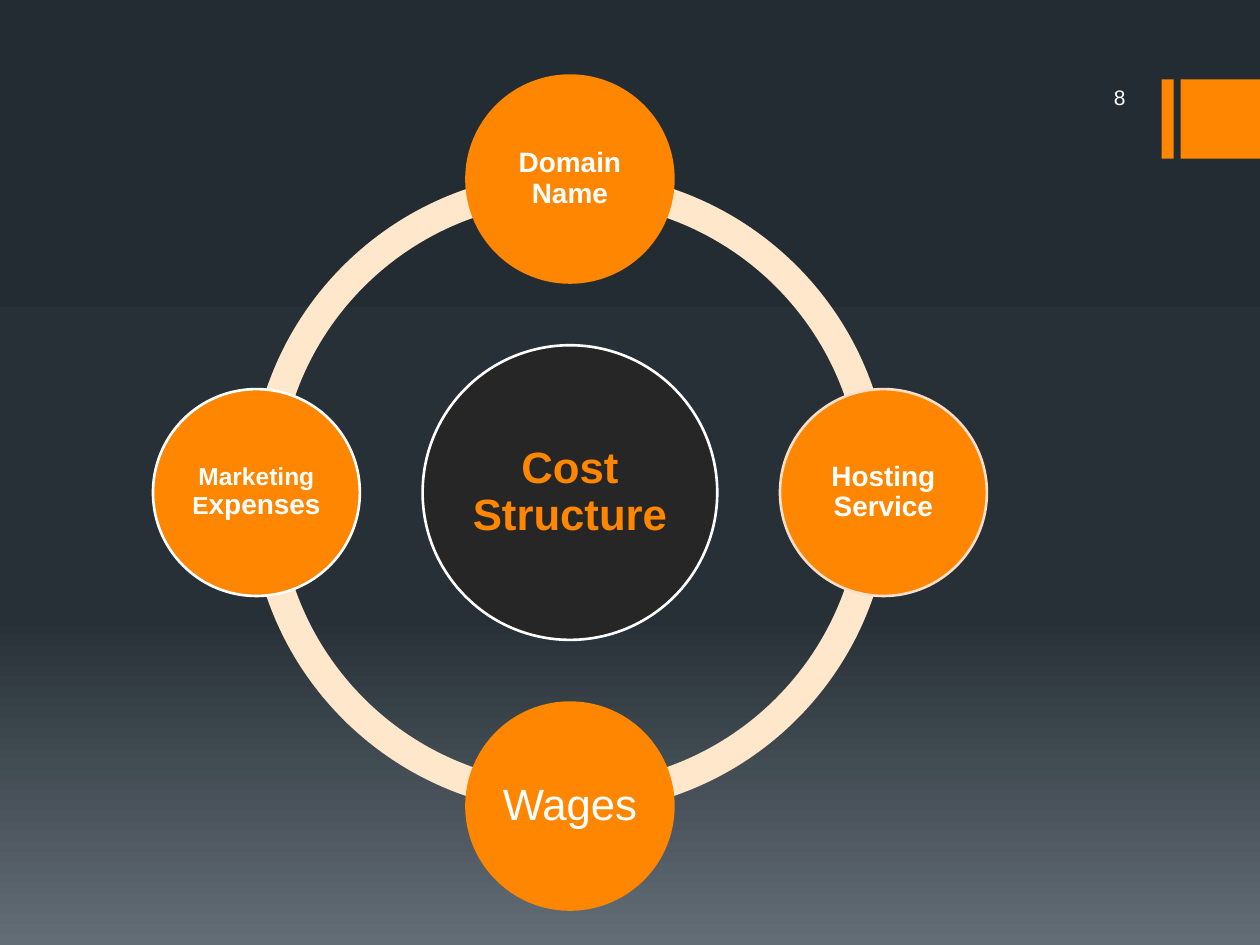
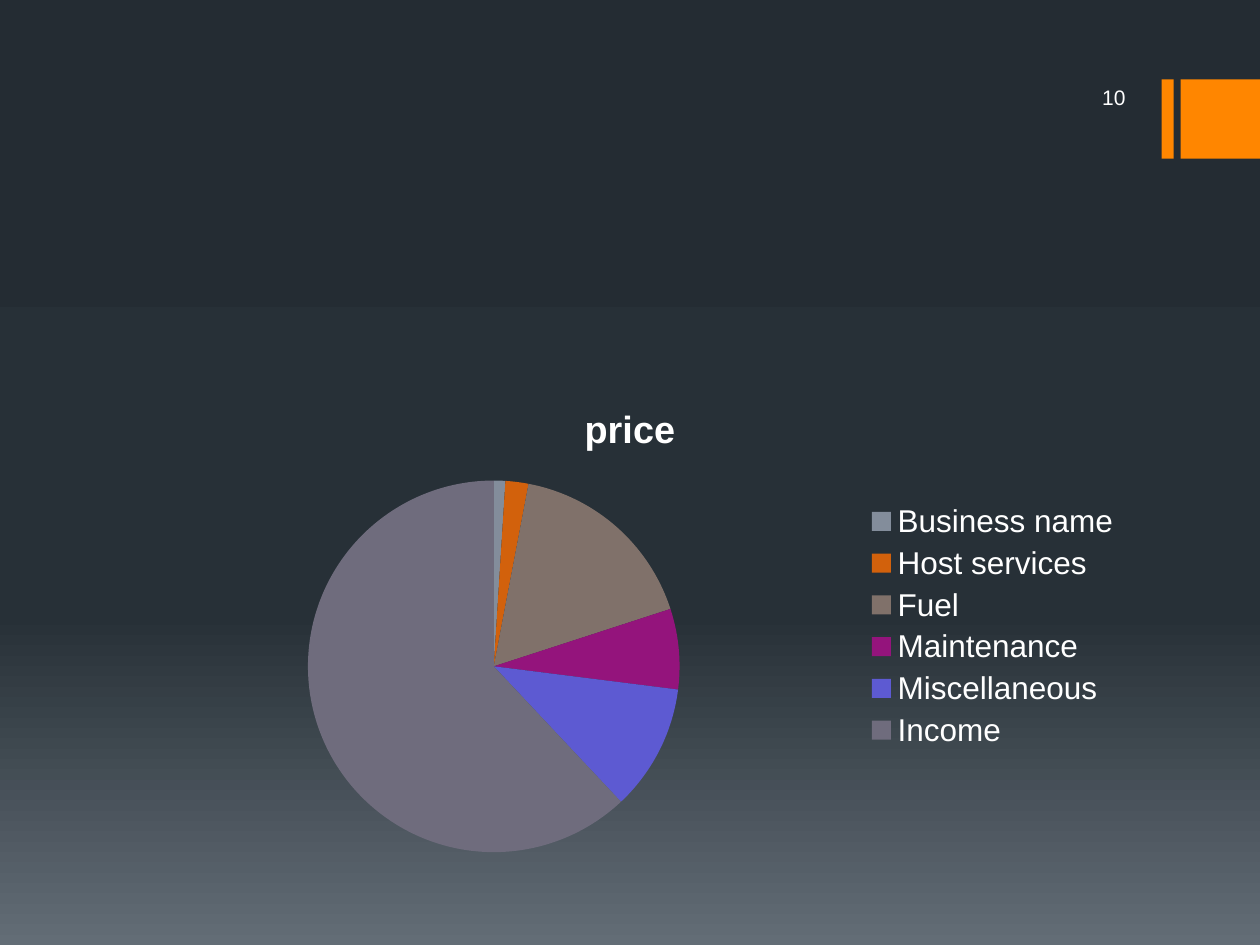
from copy import deepcopy
from math import cos, radians, sin

from pptx import Presentation
from pptx import util as u
from pptx.chart.data import CategoryChartData
from pptx.dml.color import RGBColor
from pptx.enum import chart as charts, shapes, text
from pptx.oxml.ns import qn

FONT = "Arial"
COLORS = {
    "orange": "FF8600", "white": "FFFFFF", "hub": "262626",
    "ring": "FFE7CC", "pale": "FCDFC9",
}
BACKGROUND = [(0, "242C33"), (0.65, "273037"), (1, "636D76")]

# Cost wheel, in centimetres
CENTER_X, CENTER_Y = 11.49, 9.93
ORBIT, RING_SIZE, HUB_SIZE, NODE_SIZE = 6.32, 12.93, 5.94, 4.17
# Angle (clockwise from the right), outline colour, runs of (text, size, bold)
NODES = [
    (270, "orange", [("Domain Name", 16, True)]),
    (0, "pale", [("Hosting Service", 16, True)]),
    (90, "orange", [("Wages", 25, False)]),
    (180, "white", [("Marketing E", 14, True), ("xpenses", 16, True)]),
]

# Category, price, slice colour
PRICES = [
    ("Business name", 1, "838D9B"),
    ("Host services", 2, "D2610C"),
    ("Fuel", 17, "80716A"),
    ("Maintenance", 7, "94147C"),
    ("Miscellaneous", 11, "5D5AD2"),
    ("Income", 62, "6F6C7D"),
]


def rgb(name):
    return RGBColor.from_string(COLORS.get(name, name))


def style_font(font, size, color, bold=False):
    font.name, font.size, font.bold = FONT, u.Pt(size), bold
    font.color.rgb = rgb(color)


def add_runs(paragraph, runs, color):
    for words, size, bold in runs:
        run = paragraph.add_run()
        run.text = words
        style_font(run.font, size, color, bold)


def add_shape(parent, kind, left, top, width, height, fill, line=None):
    shape = parent.shapes.add_shape(
        kind, u.Cm(left), u.Cm(top), u.Cm(width), u.Cm(height))
    shape.shadow.inherit = False
    shape.fill.solid()
    shape.fill.fore_color.rgb = rgb(fill)
    if line:
        shape.line.color.rgb = rgb(line)
        shape.line.width = u.Pt(1.5)
    else:
        shape.line.fill.background()
    return shape


def add_circle(parent, x, y, size, fill, line, runs, color):
    """Circle centred on (x, y), with its label inside."""
    circle = add_shape(parent, shapes.MSO_SHAPE.OVAL, x - size / 2,
                       y - size / 2, size, size, fill, line)
    frame = circle.text_frame
    frame.word_wrap = True
    frame.vertical_anchor = text.MSO_ANCHOR.MIDDLE
    frame.margin_left = frame.margin_right = u.Cm(0.06)
    frame.margin_top = frame.margin_bottom = u.Cm(0.06)
    paragraph = frame.paragraphs[0]
    paragraph.alignment = text.PP_ALIGN.CENTER
    paragraph.line_spacing = 0.9
    add_runs(paragraph, runs, color)


def set_background(slide):
    fill = slide.background.fill
    fill.gradient()
    fill.gradient_angle = 270
    # The default gradient has two stops: add a third
    stop_list = slide.element.find(".//" + qn("a:gsLst"))
    stop_list.append(deepcopy(stop_list[-1]))
    for stop, (position, color) in zip(fill.gradient_stops, BACKGROUND):
        stop.position = position
        stop.color.rgb = rgb(color)


def add_slide(presentation, number):
    """Blank slide with the shared background, bands and page number."""
    slide = presentation.slides.add_slide(presentation.slide_layouts[6])
    set_background(slide)
    for left, width in [(23.42, 0.24), (23.8, 1.6)]:
        add_shape(slide, shapes.MSO_SHAPE.RECTANGLE,
                  left, 1.6, width, 1.6, "orange")
    box = slide.shapes.add_textbox(
        u.Cm(20.32), u.Cm(1.53), u.Cm(2.62), u.Cm(0.84))
    box.text_frame.word_wrap = True
    box.text_frame.vertical_anchor = text.MSO_ANCHOR.MIDDLE
    paragraph = box.text_frame.paragraphs[0]
    paragraph.alignment = text.PP_ALIGN.RIGHT
    add_runs(paragraph, [(str(number), 12, False)], "white")
    return slide


def add_cost_wheel(slide):
    wheel = slide.shapes.add_group_shape()
    # Ring of four quarter arcs; an angle adjustment is 0.6 per degree
    for start in (180, 90, 0, 270):
        arc = add_shape(wheel, shapes.MSO_SHAPE.BLOCK_ARC,
                        CENTER_X - RING_SIZE / 2, CENTER_Y - RING_SIZE / 2,
                        RING_SIZE, RING_SIZE, "ring")
        arc.adjustments[0] = start * 0.6
        arc.adjustments[1] = (start + 90) % 360 * 0.6
        arc.adjustments[2] = 0.046
    # Hub and the nodes around it
    add_circle(wheel, CENTER_X, CENTER_Y, HUB_SIZE, "hub", "white",
               [("Cost Structure", 25, True)], "orange")
    for angle, line, runs in NODES:
        add_circle(wheel, CENTER_X + ORBIT * cos(radians(angle)),
                   CENTER_Y + ORBIT * sin(radians(angle)),
                   NODE_SIZE, "orange", line, runs, "white")


def add_price_chart(slide):
    data = CategoryChartData()
    data.categories = [name for name, _, _ in PRICES]
    data.add_series("price", [price for _, price, _ in PRICES])
    chart = slide.shapes.add_chart(
        charts.XL_CHART_TYPE.PIE, u.Cm(2.54), u.Cm(7.7),
        u.Cm(20.32), u.Cm(9.83), data).chart
    style_font(chart.font, 18, "white")
    # Title and legend
    chart.has_title = True
    add_runs(chart.chart_title.text_frame.paragraphs[0],
             [("price", 21.6, True)], "white")
    chart.chart_title.include_in_layout = False
    chart.has_legend = True
    chart.legend.position = charts.XL_LEGEND_POSITION.RIGHT
    chart.legend.include_in_layout = False
    # Slices
    plot = chart.plots[0]
    plot.vary_by_categories = True
    for index, (_, _, color) in enumerate(PRICES):
        slice_format = plot.series[0].points[index].format
        slice_format.fill.solid()
        slice_format.fill.fore_color.rgb = rgb(color)
        slice_format.line.fill.background()


def main():
    presentation = Presentation()
    presentation.slide_width = u.Cm(25.4)
    presentation.slide_height = u.Cm(19.05)
    add_cost_wheel(add_slide(presentation, 8))
    add_price_chart(add_slide(presentation, 10))
    presentation.save("out.pptx")


main()
